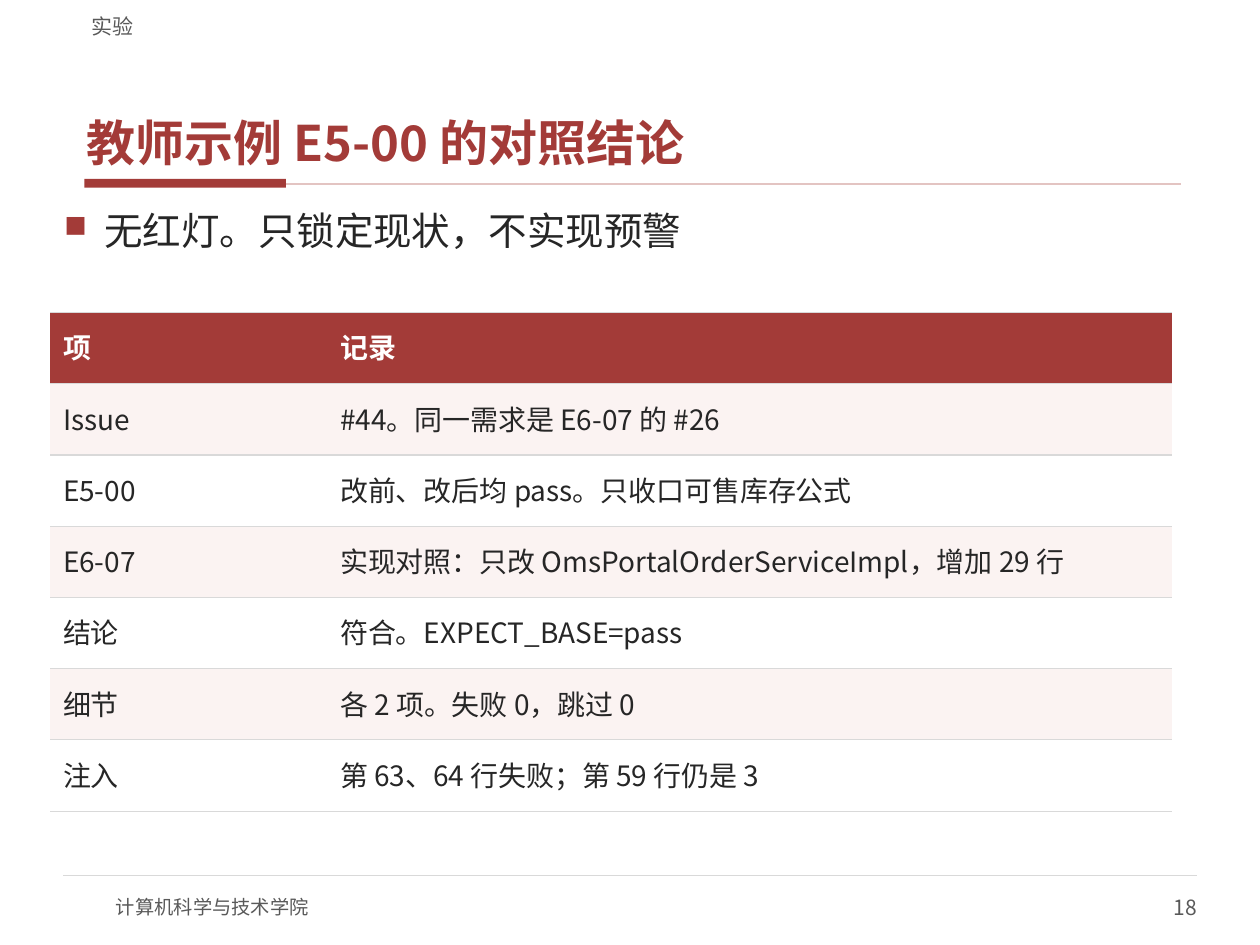
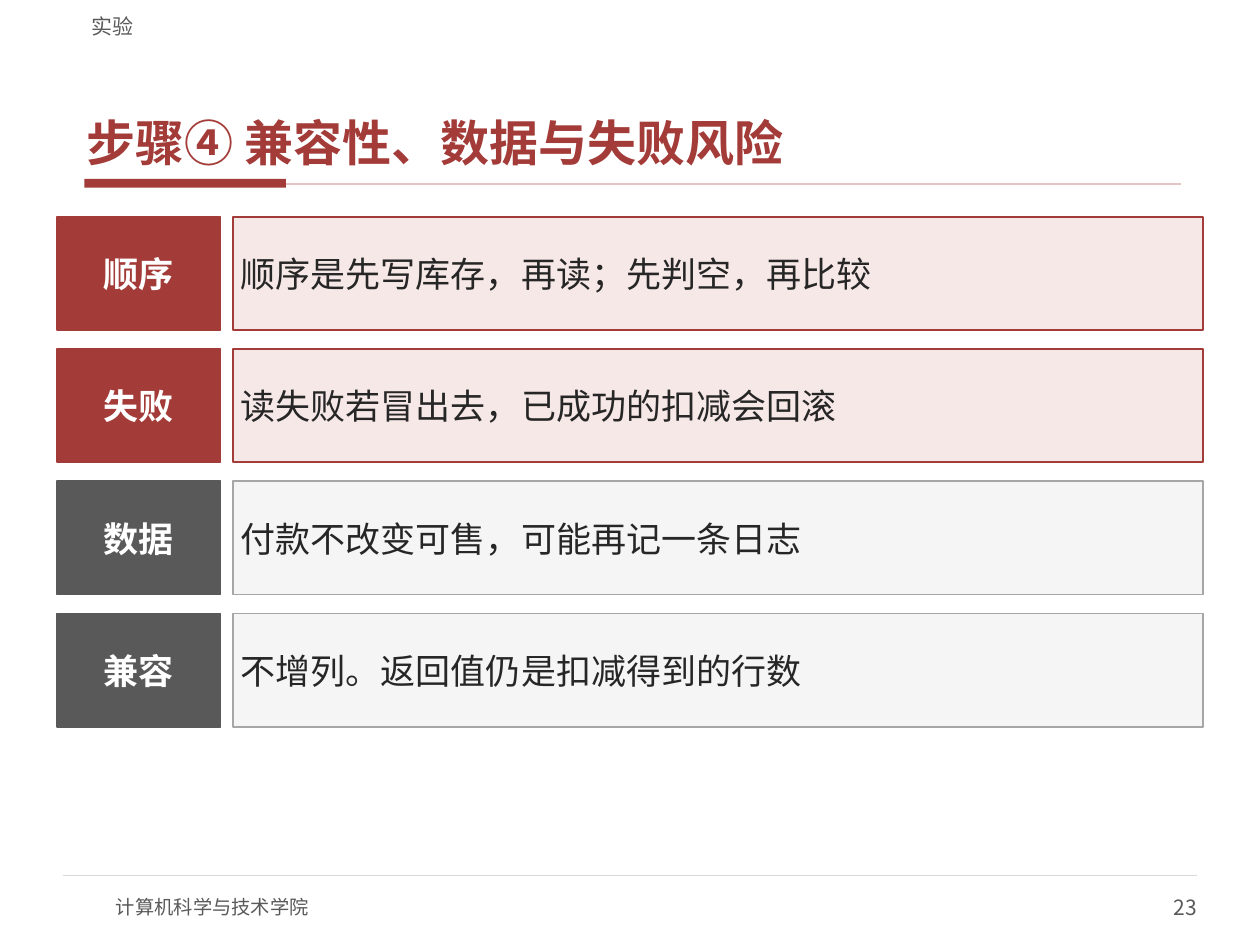
import pptx
import pptx.dml.color
import pptx.enum.shapes
import pptx.enum.text
import pptx.oxml
import pptx.oxml.ns
import pptx.util

SCALE = 9144
FONT = "Noto Sans CJK SC"
HUES = {
    "red": "A33B38", "rose": "E3C4C2", "blush": "F6E8E6", "tint": "FBF3F2",
    "ink": "262626", "gray": "595959", "mid": "A6A6A6", "rule": "D9D9D9",
    "pale": "F5F5F5", "white": "FFFFFF",
}
ALIGN = pptx.enum.text.PP_ALIGN
ANCHOR = pptx.enum.text.MSO_ANCHOR
NS = pptx.oxml.ns.nsdecls("a")


def px(*sizes):
    return [pptx.util.Emu(size * SCALE) for size in sizes]


def hue(name):
    return pptx.dml.color.RGBColor.from_string(HUES[name])


def node(tag, inner="", **attrs):
    pairs = " ".join(f'{key}="{value}"' for key, value in attrs.items())
    return pptx.oxml.parse_xml(f"<a:{tag} {NS} {pairs}>{inner}</a:{tag}>")


def apply(target, **format):
    for key, value in format.items():
        setattr(target, key, value)


class Deck:
    def __init__(self):
        self.file = pptx.Presentation()
        width, height = px(1000, 750)
        apply(self.file, slide_width=width, slide_height=height)
        self.slide = None

    def put(self, frame, text, size, color, bold=False, bullet=False, **format):
        par = frame.paragraphs[0]
        if bullet:
            props = par._p.get_or_add_pPr()
            indent = px(32)[0]
            props.set("marL", str(indent))
            props.set("indent", str(-indent))
            props.append(node("buClr", f'<a:srgbClr val="{HUES["red"]}"/>'))
            props.append(node("buSzPct", val=80000))
            props.append(node("buChar", char="■"))
        apply(par, **format)
        run = par.add_run()
        run.text = text
        apply(run.font, size=pptx.util.Pt(size), bold=bold, name=FONT)
        run.font.color.rgb = hue(color)
        run._r.get_or_add_rPr().append(node("ea", typeface=FONT))

    def frame(self, shape, pad, anchor):
        side, top = px(*pad)
        apply(shape.text_frame, word_wrap=True, vertical_anchor=anchor,
              margin_left=side, margin_right=side, margin_top=top, margin_bottom=top)
        return shape.text_frame

    def text(self, at, text, size, color, pad=(0, 0), anchor=ANCHOR.MIDDLE, **format):
        box = self.slide.shapes.add_textbox(*px(*at))
        self.put(self.frame(box, pad, anchor), text, size, color, **format)

    def rect(self, at, fill, edge=None):
        kind = pptx.enum.shapes.MSO_SHAPE.RECTANGLE
        shape = self.slide.shapes.add_shape(kind, *px(*at))
        shape.shadow.inherit = False
        shape.fill.solid()
        shape.fill.fore_color.rgb = hue(fill)
        if edge:
            shape.line.color.rgb = hue(edge)
            shape.line.width = pptx.util.Pt(1)
        else:
            shape.line.fill.background()
        return shape

    def card(self, at, text, fill, edge, color, pad, **format):
        shape = self.rect(at, fill, edge)
        self.put(self.frame(shape, pad, ANCHOR.MIDDLE), text, 20, color, **format)

    def line(self, start, end, color, width):
        kind = pptx.enum.shapes.MSO_CONNECTOR.STRAIGHT
        line = self.slide.shapes.add_connector(kind, *px(*start, *end))
        line.line.color.rgb = hue(color)
        line.line.width = pptx.util.Pt(width)
        line._element.spPr.append(node("effectLst"))

    def page(self, title, number):
        self.slide = self.file.slides.add_slide(self.file.slide_layouts[6])
        self.rect((67, 142, 160, 7), "red")
        self.line((227, 146), (937, 146), "rose", 1)
        self.line((50, 695), (950, 695), "rule", 0.75)
        self.text((92, 700, 400, 40), "计算机科学与技术学院", 11, "gray")
        self.text((750, 700, 200, 40), str(number), 12, "gray", alignment=ALIGN.RIGHT)
        self.text((63, 4, 875, 27), "实验", 12, "gray", (10, 0), ANCHOR.BOTTOM)
        self.text((63, 33, 875, 105), title, 28, "red", (6, 2), ANCHOR.BOTTOM,
                  bold=True, space_after=pptx.util.Pt(2))

    def edges(self, cell):
        props = cell._tc.get_or_add_tcPr()
        rule = f'<a:solidFill><a:srgbClr val="{HUES["rule"]}"/></a:solidFill>'
        for side in "LRTB":
            fill = rule if side in "TB" else "<a:noFill/>"
            props.append(node(f"ln{side}", fill, w=9525))

    def table(self, at, widths, rows):
        shape = self.slide.shapes.add_table(len(rows), len(widths), *px(*at))
        table = shape.table
        table.horz_banding = False
        for col, width in zip(table.columns, px(*widths)):
            col.width = width
        for i, row in enumerate(rows):
            head = i == 0
            fill = "red" if head else "tint" if i % 2 else "white"
            for j, text in enumerate(row):
                cell = table.cell(i, j)
                cell.vertical_anchor = ANCHOR.MIDDLE
                self.edges(cell)
                cell.fill.solid()
                cell.fill.fore_color.rgb = hue(fill)
                self.put(cell.text_frame, text, 16, "white" if head else "ink",
                         bold=head, line_spacing=0.9, space_after=pptx.util.Pt(2))


def main():
    deck = Deck()

    deck.page("教师示例 E5-00 的对照结论", 18)
    deck.text((45, 162, 910, 78), "无红灯。只锁定现状，不实现预警", 22, "ink",
              (6, 2), ANCHOR.TOP, bullet=True, space_after=pptx.util.Pt(2))
    deck.table((40, 248, 890, 396), (220, 670), [
        ("项", "记录"),
        ("Issue", "#44。同一需求是 E6-07 的 #26"),
        ("E5-00", "改前、改后均 pass。只收口可售库存公式"),
        ("E6-07", "实现对照：只改 OmsPortalOrderServiceImpl，增加 29 行"),
        ("结论", "符合。EXPECT_BASE=pass"),
        ("细节", "各 2 项。失败 0，跳过 0"),
        ("注入", "第 63、64 行失败；第 59 行仍是 3"),
    ])

    deck.page("步骤④ 兼容性、数据与失败风险", 23)
    hot, calm = ("red", "blush", "red"), ("gray", "pale", "mid")
    risks = [
        ("顺序", "顺序是先写库存，再读；先判空，再比较", hot),
        ("失败", "读失败若冒出去，已成功的扣减会回滚", hot),
        ("数据", "付款不改变可售，可能再记一条日志", calm),
        ("兼容", "不增列。返回值仍是扣减得到的行数", calm),
    ]
    for i, (label, note, (dark, light, edge)) in enumerate(risks):
        top = 172 + 105 * i
        deck.card((45, top, 130, 90), label, dark, dark, "white", (8, 4),
                  bold=True, alignment=ALIGN.CENTER)
        deck.card((185, top, 770, 90), note, light, edge, "ink", (6, 3),
                  alignment=ALIGN.LEFT)

    deck.file.save("out.pptx")


if __name__ == "__main__":
    main()
